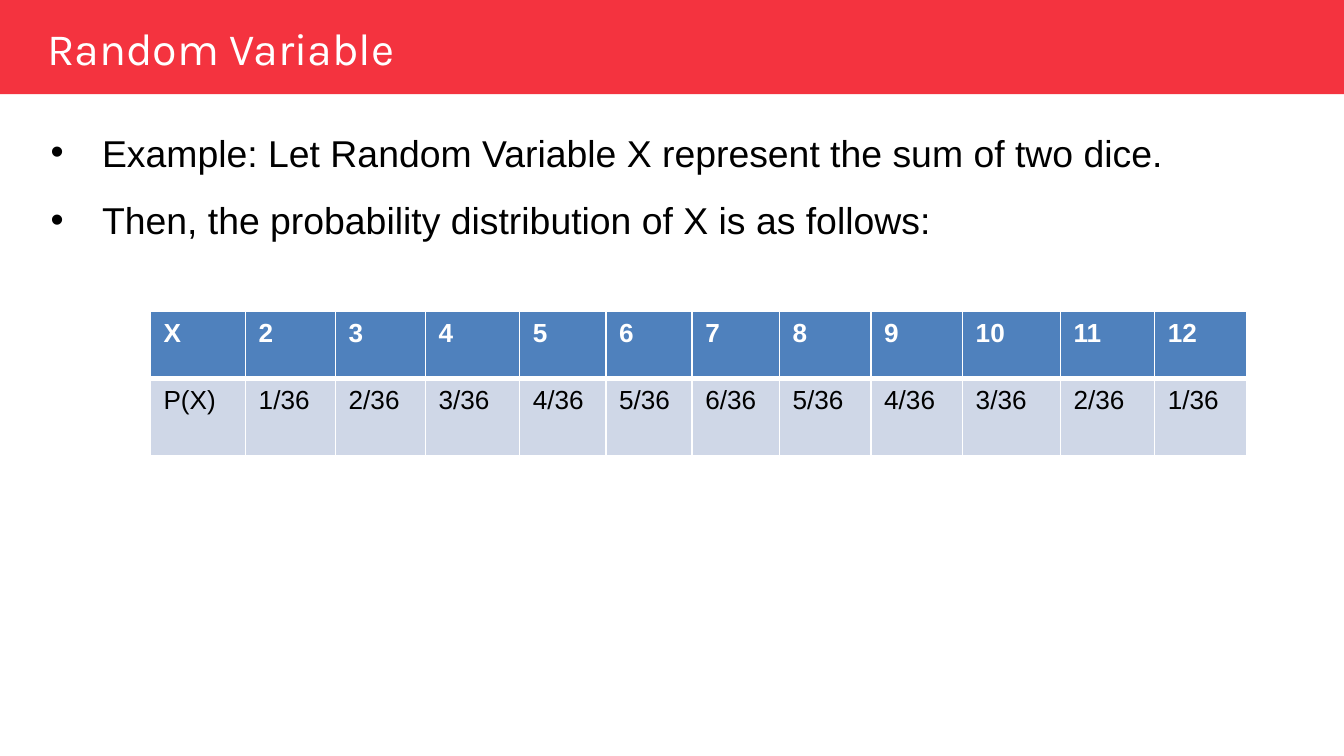
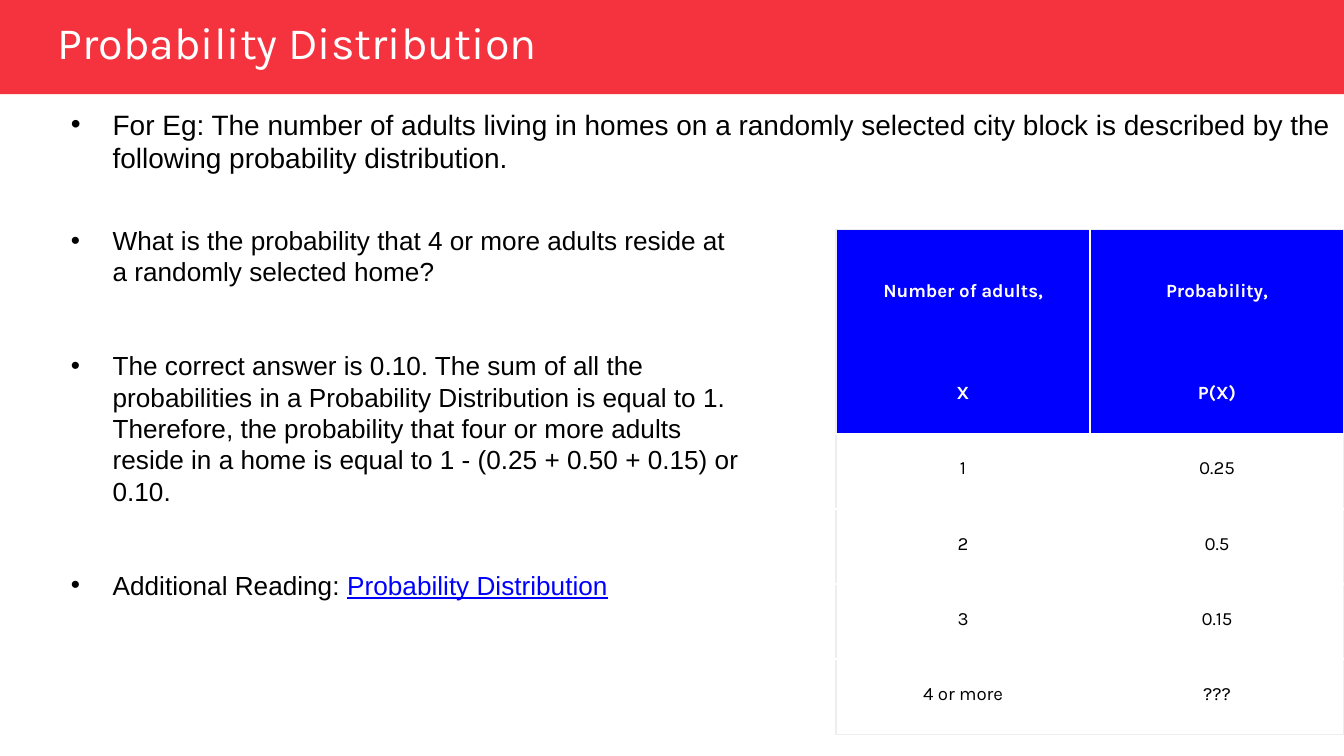
from lxml import etree
from pptx import Presentation
from pptx import util as u
from pptx.dml import color
from pptx.enum import shapes, text
from pptx.oxml import ns

COLORS = {
    "band": "F4333F",
    "white": "FFFFFF",
    "black": "000000",
    "header": "4F81BD",
    "row": "CFD7E7",
    "blue": "0000FF",
    "edge": "EEEEEE",
}


def rgb(name):
    return color.RGBColor.from_string(COLORS[name])


def write(paragraph, content, font="Arial", size=14, ink="black", bold=False, underline=False):
    run = paragraph.add_run()
    run.text = content
    run.font.name = font
    run.font.size = u.Pt(size)
    run.font.color.rgb = rgb(ink)
    run.font.bold = bold
    run.font.underline = underline


def add_node(parent, tag, **attributes):
    return etree.SubElement(parent, ns.qn(tag), attributes)


def add_border(cell, side, ink, width=1):
    properties = cell._tc.get_or_add_tcPr()
    line = add_node(properties, f"a:ln{side}", w=str(u.Pt(width)))
    if ink is None:
        add_node(line, "a:noFill")
    else:
        add_node(add_node(line, "a:solidFill"), "a:srgbClr", val=COLORS[ink])


class Deck:
    def __init__(self):
        self.presentation = Presentation()
        self.presentation.slide_width = u.Cm(25.4)
        self.presentation.slide_height = u.Cm(14.29)
        self.slide = None

    def start_slide(self):
        self.slide = self.presentation.slides.add_slide(self.presentation.slide_layouts[6])
        band = self.slide.shapes.add_shape(
            shapes.MSO_SHAPE.RECTANGLE, 0, 0, u.Cm(25.4), u.Cm(1.78))
        band.shadow.inherit = False
        band.fill.solid()
        band.fill.fore_color.rgb = rgb("band")
        band.line.fill.background()

    def text_frame(self, box, insets):
        frame = self.slide.shapes.add_textbox(*map(u.Cm, box)).text_frame
        frame.word_wrap = True
        frame.margin_left, frame.margin_top, frame.margin_right, frame.margin_bottom = map(u.Cm, insets)
        return frame

    def title(self, content, box):
        frame = self.text_frame(box, (0, 0.03, 0, 0))
        write(frame.paragraphs[0], content, font="Karla", size=24, ink="white")

    def bullets(self, items, box, size, margin=0.79, hanging=0.79, spacing=None, gap=0, inset=0.25):
        frame = self.text_frame(box, (0.25, inset, 0.25, inset))
        for index, item in enumerate(items):
            paragraph = frame.add_paragraph() if index else frame.paragraphs[0]
            properties = paragraph._p.get_or_add_pPr()
            properties.set("marL", str(u.Cm(margin)))
            properties.set("indent", str(-u.Cm(hanging)))
            add_node(add_node(properties, "a:buClr"), "a:srgbClr", val=COLORS["black"])
            add_node(properties, "a:buFont", typeface="Arial")
            add_node(properties, "a:buChar", char="•")
            if spacing:
                paragraph.line_spacing = spacing
            if index and gap:
                paragraph.space_before = u.Pt(gap)
            lead, *link = item.split("|")
            write(paragraph, lead, size=size)
            for words in link:
                write(paragraph, words, size=size, ink="blue", underline=True)

    def table(self, rows, left, top, widths, heights, style, header_rows=1,
              insets=(0.25, 0.13, 0.25, 0.13), alignment=text.PP_ALIGN.LEFT,
              anchor=text.MSO_ANCHOR.TOP, font="Arial", size=14):
        table = self.slide.shapes.add_table(
            len(rows), len(widths), u.Cm(left), u.Cm(top),
            u.Cm(sum(widths)), u.Cm(sum(heights))).table
        table.first_row = table.horz_banding = False
        for column, width in zip(table.columns, widths):
            column.width = u.Cm(width)
        for row, height in zip(table.rows, heights):
            row.height = u.Cm(height)
        for row, values in enumerate(rows):
            heading = row < header_rows
            for column, value in enumerate(values):
                cell = table.cell(row, column)
                cell.margin_left, cell.margin_top, cell.margin_right, cell.margin_bottom = map(u.Cm, insets)
                cell.vertical_anchor = anchor
                fill, borders = style(row, column, heading)
                for side in "LRTB":
                    add_border(cell, side, *borders[side])
                cell.fill.solid()
                cell.fill.fore_color.rgb = rgb(fill)
                paragraph = cell.text_frame.paragraphs[0]
                paragraph.alignment = alignment
                write(paragraph, value, font=font, size=size, bold=heading,
                      ink="white" if heading else "black")


def dice_style(row, column, heading):
    borders = {side: ("white", 1) for side in "LRTB"}
    borders["B" if heading else "T"] = ("white", 3)
    return "header" if heading else "row", borders


def adults_style(row, column, heading):
    borders = {
        "L": ("white" if column else "edge",),
        "R": ("edge" if column else "white",),
        "T": ("white" if row else "edge",),
        "B": ("edge" if row == 5 else "white",),
    }
    if heading:
        borders["T" if row else "B"] = (None,)
    return "blue" if heading else "white", borders


def random_variable(deck):
    deck.start_slide()
    deck.bullets(
        ["Example: Let Random Variable X represent the sum of two dice.",
         "Then, the probability distribution of X is as follows:"],
        (0.41, 1.78, 24.99, 14.91), size=20, margin=1.27, hanging=0.97, spacing=1.5)
    deck.title("Random Variable", (0.89, 0.36, 18.62, 1.47))
    sums = range(2, 13)
    deck.table(
        [["X"] + [str(total) for total in sums],
         ["P(X)"] + [f"{6 - abs(7 - total)}/36" for total in sums]],
        2.84, 5.89,
        [1.8, 1.7, 1.7, 1.78, 1.63, 1.63, 1.65, 1.73, 1.73, 1.85, 1.78, 1.75],
        [1.27, 1.45], dice_style)


def probability_distribution(deck):
    deck.start_slide()
    deck.title("Probability Distribution", (1.09, 0.25, 17.5, 1.09))
    deck.bullets(
        ["For Eg: The number of adults living in homes on a randomly selected city block "
         "is described by the following probability distribution."],
        (1.09, 1.78, 24.61, 12.12), size=15)
    deck.table(
        [["Number of adults,", "Probability,"], ["X", "P(X)"], ["1", "0.25"],
         ["2", "0.5"], ["3", "0.15"], ["4 or more", "???"]],
        15.8, 4.34, [4.8] * 2, [2.44] + [1.42] * 5, adults_style, header_rows=2,
        insets=(0.03, 0.03, 0.03, 0.13), alignment=text.PP_ALIGN.CENTER,
        anchor=text.MSO_ANCHOR.MIDDLE, font="Karla", size=10)
    deck.bullets(
        ["What is the probability that 4 or more adults reside at a randomly selected home?",
         "The correct answer is 0.10. The sum of all the probabilities in a Probability "
         "Distribution is equal to 1. Therefore, the probability that four or more adults "
         "reside in a home is equal to 1 - (0.25 + 0.50 + 0.15) or 0.10.",
         "Additional Reading: |Probability Distribution"],
        (1.09, 4.11, 13.16, 9.25), size=14, gap=33.5, inset=0.13)


def main():
    deck = Deck()
    random_variable(deck)
    probability_distribution(deck)
    deck.presentation.save("out.pptx")


if __name__ == "__main__":
    main()
